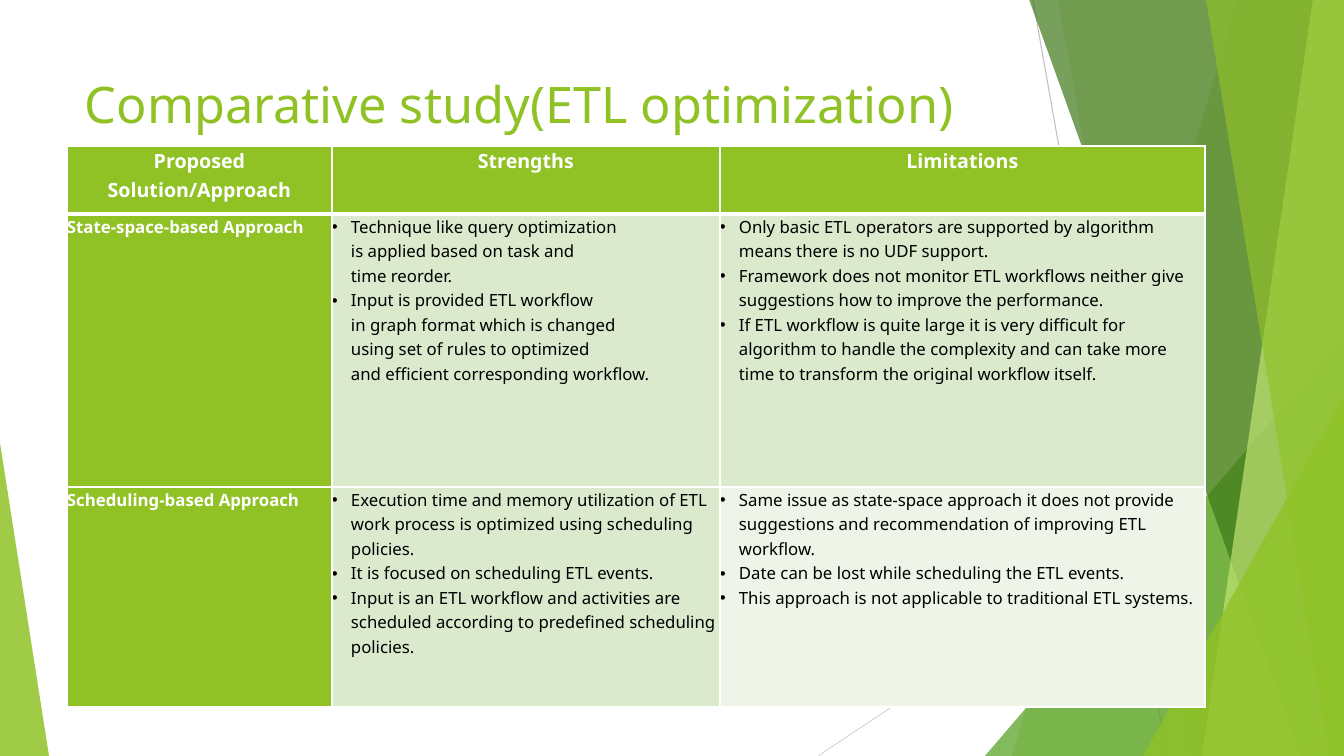
from dataclasses import dataclass

from lxml.etree import SubElement
from pptx import Presentation
from pptx.dml.color import RGBColor
from pptx.enum.shapes import MSO_CONNECTOR, MSO_SHAPE
from pptx.enum.text import MSO_ANCHOR, PP_ALIGN
from pptx.oxml.ns import qn
from pptx.util import Emu, Pt


@dataclass(frozen=True)
class Theme:
    font: str = "Noto Sans"
    green: str = "90C226"
    leaf: str = "54A021"
    forest: str = "3F7819"
    lime: str = "C0E474"
    tint: str = "DBE9CD"
    pale: str = "EEF4E8"
    white: str = "FFFFFF"
    black: str = "000000"
    grey: str = "BFBFBF"
    light_grey: str = "D9D9D9"
    title_size: int = 36
    header_size: int = 14
    body_size: int = 12
    line_spacing: float = 1.07


THEME = Theme()
SLIDE_BOX = (0, 0, 1344, 756)
TITLE_BOX = (75, 68, 948, 145)
STUDY_BOX = (67, 146, 1138, 561)

# Table content: each item is one bullet, a newline starts an indented line
HEADINGS = ("Proposed Solution/Approach", "Strengths", "Limitations")
APPROACHES = (
    ("State-space-based Approach",
     ("Technique like query optimization\nis applied based on task and\ntime reorder.",
      "Input is provided ETL workflow\nin graph format which is changed\n"
      "using set of rules to optimized\nand efficient corresponding workflow."),
     ("Only basic ETL operators are supported by algorithm means there is no UDF support.",
      "Framework does not monitor ETL workflows neither give suggestions how to improve "
      "the performance.",
      "If ETL workflow is quite large it is very difficult for algorithm to handle the "
      "complexity and can take more time to transform the original workflow itself.")),
    ("Scheduling-based Approach",
     ("Execution time and memory utilization of ETL work process is optimized using "
      "scheduling policies.",
      "It is focused on scheduling ETL events.",
      "Input is an ETL workflow and activities are scheduled according to predefined "
      "scheduling policies."),
     ("Same issue as state-space approach it does not provide suggestions and "
      "recommendation of improving ETL workflow.",
      "Date can be lost while scheduling the ETL events.",
      "This approach is not applicable to traditional ETL systems.")),
)


def px(pixels):
    return Emu(round(pixels * 914400 / 100.8))


def rgb(color):
    return RGBColor.from_string(color)


def write_text(frame, text, size=THEME.body_size, color=THEME.black, bold=False,
               align=PP_ALIGN.LEFT, spacing=THEME.line_spacing, indent=0, bullet=False):
    """Add one paragraph, filling the frame's first one while it is empty."""
    first = frame.paragraphs[0]
    paragraph = first if not first.runs else frame.add_paragraph()
    paragraph.alignment, paragraph.line_spacing = align, spacing
    run = paragraph.add_run()
    run.text = text
    run.font.name, run.font.size, run.font.bold = THEME.font, Pt(size), bold
    run.font.color.rgb = rgb(color)
    properties = paragraph._p.get_or_add_pPr()
    properties.set("marL", str(px(indent)))
    properties.set("indent", str(-px(indent) if bullet else 0))
    if bullet:
        SubElement(properties, qn("a:buFont"), typeface="Arial")
        SubElement(properties, qn("a:buChar"), char="•")


def paint(facet, color, opacity):
    facet.shadow.inherit = False
    facet.fill.solid()
    facet.fill.fore_color.rgb = rgb(color)
    facet.line.fill.background()
    for tone in facet._element.spPr.iter(qn("a:srgbClr")):
        SubElement(tone, qn("a:alpha"), val=str(opacity * 1000))


def add_ray(slide, start, end, color):
    ray = slide.shapes.add_connector(MSO_CONNECTOR.STRAIGHT, *map(px, start + end))
    ray.line.color.rgb, ray.line.width = rgb(color), Pt(0.75)
    SubElement(ray._element.spPr, qn("a:effectLst"))


def add_facets(slide, box):
    left, top, width, height = box
    right, bottom = left + width, top + height

    def add_band(top_x, bottom_x, color, opacity):
        corners = [(left + top_x, top - 1), (right, top - 1),
                   (right, bottom), (left + bottom_x, bottom)]
        corners = [(px(x), px(y)) for x, y in corners]
        builder = slide.shapes.build_freeform(*corners[0], scale=1.0)
        builder.add_line_segments(corners[1:], close=True)
        paint(builder.convert_to_shape(), color, opacity)

    def add_corner(x, y, corner_width, apex, color, opacity):
        corner = slide.shapes.add_shape(
            MSO_SHAPE.ISOSCELES_TRIANGLE,
            *map(px, (left + x, top + y, corner_width, height - y)))
        corner.adjustments[0] = apex
        paint(corner, color, opacity)

    # Thin rays behind the facets
    add_ray(slide, (left + 1033, top), (left + 1167, bottom), THEME.grey)
    add_ray(slide, (right, top + 406), (left + 818, bottom), THEME.light_grey)
    # Bands reach the right edge; corners stand on the bottom edge
    add_band(1238, 1012, THEME.green, 30)
    add_band(1058, 1192, THEME.green, 20)
    add_corner(985, 336, 359, 1, THEME.leaf, 72)
    add_band(1029, 1301, THEME.forest, 70)
    add_band(1313, 1202, THEME.lime, 70)
    add_band(1206, 1329, THEME.green, 65)
    add_corner(1143, 396, 201, 1, THEME.green, 80)
    add_corner(0, 443, 49, 0, THEME.green, 85)


def add_title(slide, box):
    frame = slide.shapes.add_textbox(*map(px, box)).text_frame
    frame.word_wrap = True
    frame.vertical_anchor = MSO_ANCHOR.TOP
    write_text(frame, "Comparative study(ETL optimization)", size=THEME.title_size,
               color=THEME.green, spacing=1.0)


def style_cell(cell, fill, top_width=1, bottom_width=1):
    cell.margin_left = cell.margin_right = cell.margin_top = cell.margin_bottom = 0
    properties = cell._tc.get_or_add_tcPr()
    for side, width in (("L", 1), ("R", 1), ("T", top_width), ("B", bottom_width)):
        border = SubElement(properties, qn(f"a:ln{side}"), w=str(Pt(width)))
        SubElement(SubElement(border, qn("a:solidFill")), qn("a:srgbClr"), val=THEME.white)
    cell.fill.solid()
    cell.fill.fore_color.rgb = rgb(fill)


def add_study(slide, box):
    left, top, width, height = box
    study = slide.shapes.add_table(3, 3, *map(px, box)).table
    study.horz_banding = False
    for column, share in zip(study.columns, (265, 388, width - 653)):
        column.width = px(share)
    for row, share in zip(study.rows, (68, 273, height - 341)):
        row.height = px(share)

    # Heading row
    for column, heading in enumerate(HEADINGS):
        cell = study.cell(0, column)
        style_cell(cell, THEME.green, bottom_width=3)
        write_text(cell.text_frame, heading, size=THEME.header_size, color=THEME.white,
                   bold=True, align=PP_ALIGN.CENTER)

    # One row per approach
    limitation_fills = (THEME.tint, THEME.pale)
    for row, (approach, *findings) in enumerate(APPROACHES, start=1):
        top_width = 3 if row == 1 else 1
        cell = study.cell(row, 0)
        style_cell(cell, THEME.green, top_width)
        write_text(cell.text_frame, approach, color=THEME.white, bold=True)
        fills = (THEME.tint, limitation_fills[row - 1])
        for column, (items, fill) in enumerate(zip(findings, fills), start=1):
            cell = study.cell(row, column)
            style_cell(cell, fill, top_width)
            for item in items:
                for position, line in enumerate(item.split("\n")):
                    write_text(cell.text_frame, line, indent=19, bullet=position == 0)


presentation = Presentation()
presentation.slide_width, presentation.slide_height = map(px, SLIDE_BOX[2:])
comparison = presentation.slides.add_slide(presentation.slide_layouts[6])
add_facets(comparison, SLIDE_BOX)
add_title(comparison, TITLE_BOX)
add_study(comparison, STUDY_BOX)
presentation.save("out.pptx")
